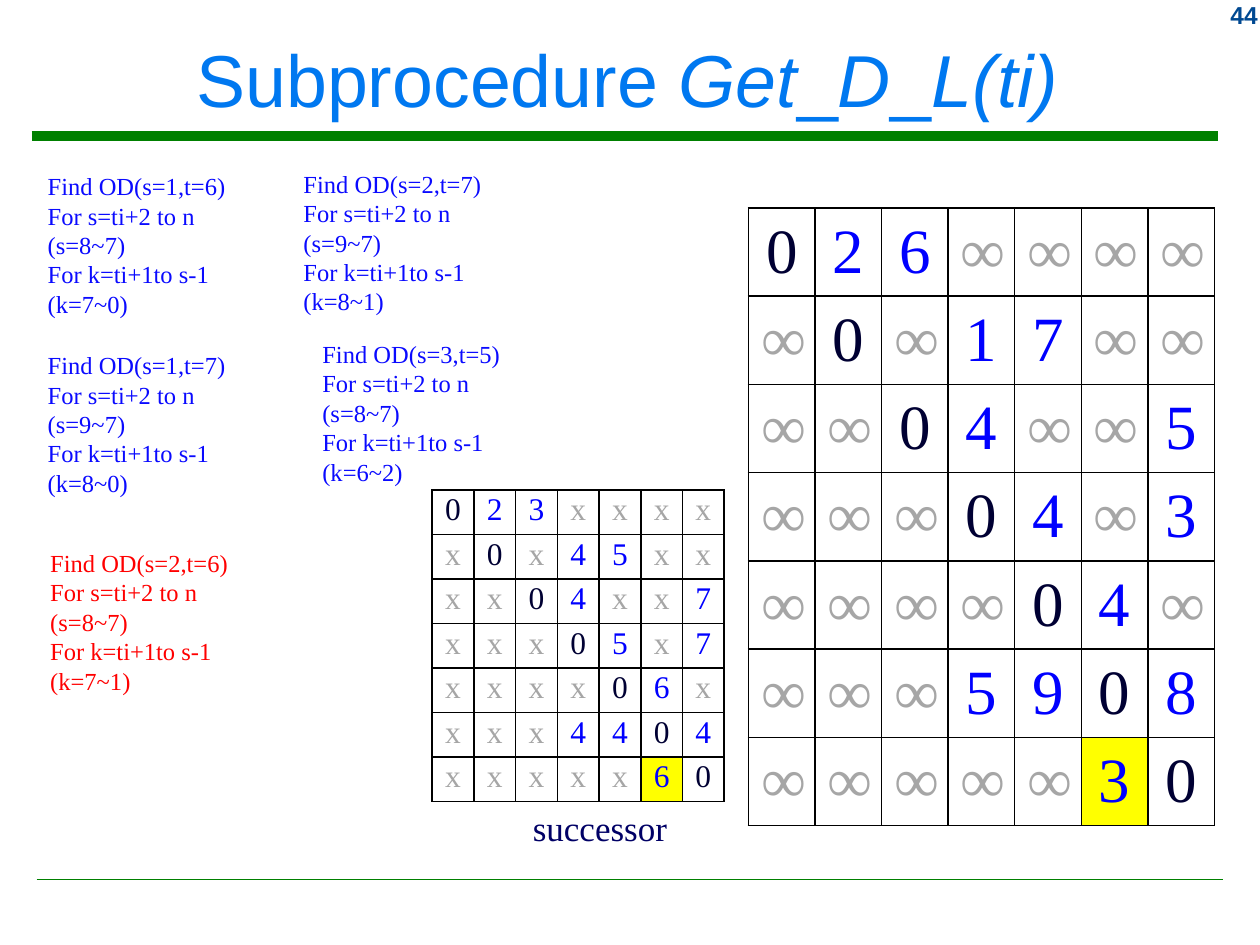
from lxml.etree import SubElement
from pptx import Presentation
from pptx.dml.color import RGBColor
from pptx.enum.shapes import MSO_CONNECTOR
from pptx.enum.text import MSO_ANCHOR, PP_ALIGN
from pptx.oxml.ns import qn
from pptx.util import Inches, Pt

GREEN = RGBColor(0x00, 0x80, 0x00)
PAGE_BLUE = RGBColor(0x00, 0x49, 0x92)
TITLE_BLUE = RGBColor(0x00, 0x78, 0xF0)
STEP_BLUE = RGBColor(0x0A, 0x0A, 0xFF)
RED = RGBColor(0xFF, 0x00, 0x00)
LABEL_NAVY = RGBColor(0x00, 0x00, 0x66)
DIAGONAL_NAVY = RGBColor(0x00, 0x00, 0x33)
VALUE_BLUE = RGBColor(0x00, 0x00, 0xFF)
GRAY = RGBColor(0xA6, 0xA6, 0xA6)
WHITE = RGBColor(0xFF, 0xFF, 0xFF)
YELLOW = RGBColor(0xFF, 0xFF, 0x00)
SERIF, SANS = "Times New Roman", "Arial"

# Content
TITLE = [("Subprocedure ", False), ("Get", True), ("_", False),
         ("D", True), ("_", False), ("L(ti)", True)]
RULES = [((0.25, 1.08), (9.67, 1.08), 5.25), ((0.29, 6.98), (9.71, 6.98), 1)]
DISTANCES = ["0 2 6 ∞ ∞ ∞ ∞",
             "∞ 0 ∞ 1 7 ∞ ∞",
             "∞ ∞ 0 4 ∞ ∞ 5",
             "∞ ∞ ∞ 0 4 ∞ 3",
             "∞ ∞ ∞ ∞ 0 4 ∞",
             "∞ ∞ ∞ 5 9 0 8",
             "∞ ∞ ∞ ∞ ∞ 3 0"]
SUCCESSORS = ["0 2 3 x x x x",
              "x 0 x 4 5 x x",
              "x x 0 4 x x 7",
              "x x x 0 5 x 7",
              "x x x x 0 6 x",
              "x x x 4 4 0 4",
              "x x x x x 6 0"]
CHANGED = (6, 5)  # row and column of the highlighted entry
# left, top, (s, t), s range, k range, colour
SEARCHES = [(0.28, 1.31, (1, 6), "8~7", "7~0", STEP_BLUE),
            (0.28, 2.73, (1, 7), "9~7", "8~0", STEP_BLUE),
            (2.46, 2.64, (3, 5), "8~7", "6~2", STEP_BLUE),
            (2.31, 1.29, (2, 7), "9~7", "8~1", STEP_BLUE),
            (0.30, 4.30, (2, 6), "8~7", "7~1", RED)]


def set_format(target, values):
    for name, value in values.items():
        setattr(target, name, value)


def style_run(run, size, face, color, **extra):
    set_format(run.font, {"size": Pt(size), "name": face, **extra})
    run.font.color.rgb = color


def add_text(slide, box, lines, size, face, color, align=PP_ALIGN.LEFT,
             wrap=True, anchor=MSO_ANCHOR.TOP, bold=False):
    """Each line is a list of (text, italic) runs."""
    frame = slide.shapes.add_textbox(*map(Inches, box)).text_frame
    set_format(frame, {"word_wrap": wrap, "vertical_anchor": anchor})
    for i, runs in enumerate(lines):
        paragraph = frame.add_paragraph() if i else frame.paragraphs[0]
        paragraph.alignment = align
        for text, italic in runs:
            run = paragraph.add_run()
            run.text = text
            style_run(run, size, face, color, bold=bold, italic=italic)


def add_rule(slide, start, end, width):
    rule = slide.shapes.add_connector(
        MSO_CONNECTOR.STRAIGHT, *map(Inches, start + end))
    rule.line.color.rgb = GREEN
    rule.line.width = Pt(width)
    SubElement(rule._element.spPr, qn("a:effectLst"))


def add_borders(cell):
    properties = cell._tc.get_or_add_tcPr()
    for index, side in enumerate(("lnL", "lnR", "lnT", "lnB")):
        border = SubElement(properties, qn(f"a:{side}"), w=str(Pt(1)))
        fill = SubElement(border, qn("a:solidFill"))
        SubElement(fill, qn("a:srgbClr"), val="000000")
        properties.remove(border)
        properties.insert(index, border)  # borders come before the fill


def add_matrix(slide, box, matrix, size, cell_format):
    rows = [line.split() for line in matrix]
    count = len(rows)
    table = slide.shapes.add_table(count, count, *map(Inches, box)).table
    set_format(table, {"first_row": False, "horz_banding": False})
    for column in table.columns:
        column.width = Inches(box[2] / count)
    for row in table.rows:
        row.height = Inches(box[3] / count)
    for r, values in enumerate(rows):
        for c, value in enumerate(values):
            cell = table.cell(r, c)
            set_format(cell, cell_format)
            cell.fill.solid()
            cell.fill.fore_color.rgb = YELLOW if (r, c) == CHANGED else WHITE
            add_borders(cell)
            paragraph = cell.text_frame.paragraphs[0]
            paragraph.alignment = PP_ALIGN.CENTER
            run = paragraph.add_run()
            run.text = value
            color = (DIAGONAL_NAVY if r == c
                     else VALUE_BLUE if value.isdigit() else GRAY)
            style_run(run, size, SERIF, color)


def main():
    presentation = Presentation()
    set_format(presentation, {"slide_width": Inches(10),
                              "slide_height": Inches(7.5)})
    slide = presentation.slides.add_slide(presentation.slide_layouts[6])

    # Rules, page number and title
    for rule in RULES:
        add_rule(slide, *rule)
    add_text(slide, (9.17, -0.05, 0.91, 0.33), [[("44", False)]], 14, SANS,
             PAGE_BLUE, align=PP_ALIGN.RIGHT, bold=True)
    add_text(slide, (0.08, 0.09, 9.8, 1.06), [TITLE], 42, SANS, TITLE_BLUE,
             align=PP_ALIGN.CENTER, anchor=MSO_ANCHOR.MIDDLE)

    # Distance and successor matrices
    add_matrix(slide, (5.94, 1.65, 3.7, 4.9), DISTANCES, 36,
               {"vertical_anchor": MSO_ANCHOR.MIDDLE})
    add_matrix(slide, (3.43, 3.89, 2.32, 2.47), SUCCESSORS, 18,
               {"vertical_anchor": MSO_ANCHOR.TOP,
                "margin_left": Inches(0.05), "margin_right": Inches(0.05),
                "margin_top": Inches(0.02), "margin_bottom": Inches(0.02)})
    add_text(slide, (4.13, 6.35, 1.28, 0.44), [[("successor", False)]], 20,
             SERIF, LABEL_NAVY, wrap=False)

    # Search steps
    for left, top, (s, t), s_range, k_range, color in SEARCHES:
        steps = [f"Find OD(s={s},t={t})", "For s=ti+2 to n", f"(s={s_range})",
                 "For k=ti+1to s-1", f"(k={k_range})"]
        add_text(slide, (left, top, 2.68, 1.28),
                 [[(step, False)] for step in steps], 14, SERIF, color)

    presentation.save("out.pptx")


if __name__ == "__main__":
    main()
